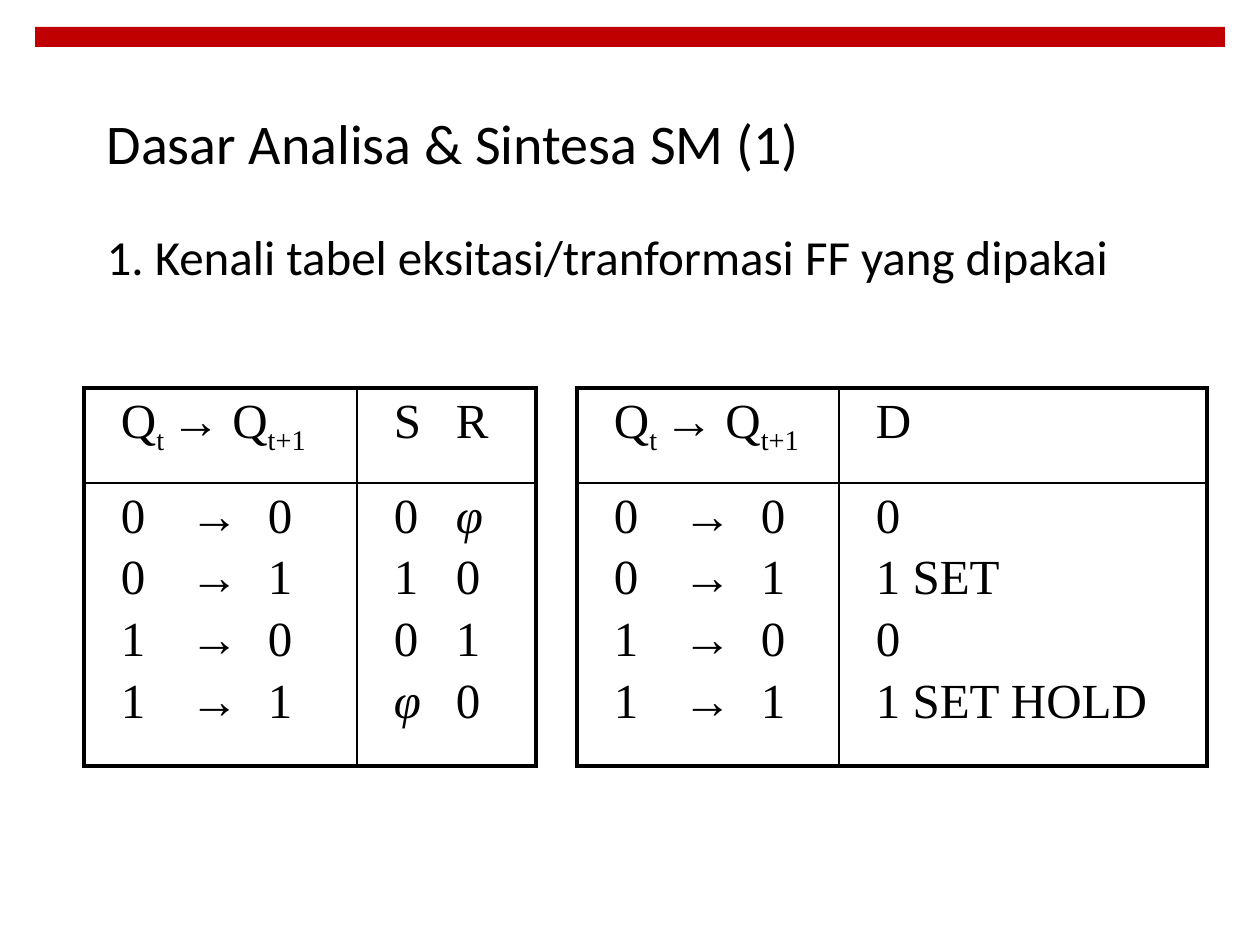
from lxml.etree import SubElement
from pptx import Presentation
from pptx.dml.color import RGBColor
from pptx.enum.shapes import MSO_SHAPE
from pptx.enum.text import MSO_ANCHOR, MSO_AUTO_SIZE, PP_ALIGN
from pptx.oxml.ns import qn
from pptx.util import Emu, Pt

SCALE = 914400 / 126
COLORS = {"bar": "C00000", "ink": "000000"}
SUBSCRIPTS = ("t ", "t+1")


def px(length):
    return Emu(round(length * SCALE))


def set_font(paragraph, name, size):
    paragraph.font.name = name
    paragraph.font.size = Pt(size)
    paragraph.font.color.rgb = RGBColor.from_string(COLORS["ink"])


deck = Presentation()
deck.slide_width, deck.slide_height = px(1260), px(945)
page = deck.slides.add_slide(deck.slide_layouts[1])

bar = page.shapes.add_shape(MSO_SHAPE.RECTANGLE, px(35), px(27), px(1190), px(20))
bar.shadow.inherit = False
bar.fill.solid()
bar.fill.fore_color.rgb = RGBColor.from_string(COLORS["bar"])
bar.line.fill.background()

placeholders = [
    (page.shapes.title, (94, 84, 1071, 116), MSO_ANCHOR.MIDDLE, 32,
     "Dasar Analisa & Sintesa SM (1)"),
    (page.placeholders[1], (94, 220, 1061, 95), MSO_ANCHOR.TOP, 28,
     "1. Kenali tabel eksitasi/tranformasi FF yang dipakai"),
]
for box, place, anchor, size, text in placeholders:
    box.left, box.top, box.width, box.height = map(px, place)
    frame = box.text_frame
    frame.text = text
    frame.auto_size = MSO_AUTO_SIZE.NONE
    frame.vertical_anchor = anchor
    paragraph = frame.paragraphs[0]
    paragraph.alignment = PP_ALIGN.LEFT
    paragraph.space_before = Pt(0)
    if box is not page.shapes.title:
        properties = paragraph._p.get_or_add_pPr()
        properties.set("marL", str(px(48)))
        properties.set("indent", str(px(-48)))
        SubElement(properties, qn("a:buNone"))
    set_font(paragraph, "Calibri", size)

state_header = [["Q", "t ", "→ Q", "t+1"]]
transitions = [["0\t→\t0"], ["0\t→\t1"], ["1\t→\t0"], ["1\t→\t1"]]
sr_inputs = [["0\t", "φ"], ["1\t0"], ["0\t1"], ["φ", "\t0"]]
d_inputs = [["0"], ["1 SET"], ["0"], ["1 SET HOLD"]]
tables = [
    (84, (273, 179), [["S\tR"]], sr_inputs, (62,)),
    (577, (262, 368), [["D"]], d_inputs, ()),
]
row_heights = (95, 283)

for left, widths, input_header, inputs, input_tabs in tables:
    table = page.shapes.add_table(
        2, 2, px(left), px(388), px(sum(widths)), px(sum(row_heights))).table
    table.first_row = table.horz_banding = False
    for column, width in zip(table.columns, widths):
        column.width = px(width)
    for row, height in zip(table.rows, row_heights):
        row.height = px(height)
    contents = [[state_header, input_header], [transitions, inputs]]
    for row in range(2):
        for column, tabs in enumerate([(69, 147), input_tabs]):
            cell = table.cell(row, column)
            cell.margin_left = px(37)
            cell_properties = cell._tc.get_or_add_tcPr()
            outer_edges = {"L": column == 0, "R": column == 1, "T": row == 0, "B": row == 1}
            for side, outer in outer_edges.items():
                border = SubElement(cell_properties, qn(f"a:ln{side}"),
                                    w=str(Pt(2.25 if outer else 1)))
                fill = SubElement(border, qn("a:solidFill"))
                SubElement(fill, qn("a:srgbClr"), val=COLORS["ink"])
            cell.fill.background()
            frame = cell.text_frame
            for index, pieces in enumerate(contents[row][column]):
                paragraph = frame.add_paragraph() if index else frame.paragraphs[0]
                paragraph.space_before = Pt(4.4 if index else 0)
                if tabs and "\t" in "".join(pieces):
                    tab_list = SubElement(paragraph._p.get_or_add_pPr(), qn("a:tabLst"))
                    for position in tabs:
                        SubElement(tab_list, qn("a:tab"), pos=str(px(position)), algn="l")
                set_font(paragraph, "Times New Roman", 28)
                for piece in pieces:
                    span = paragraph.add_run()
                    span.text = piece
                    if piece in SUBSCRIPTS:
                        span._r.get_or_add_rPr().set("baseline", "-25000")
                    if piece == "φ":
                        span.font.italic = True

deck.save("out.pptx")
